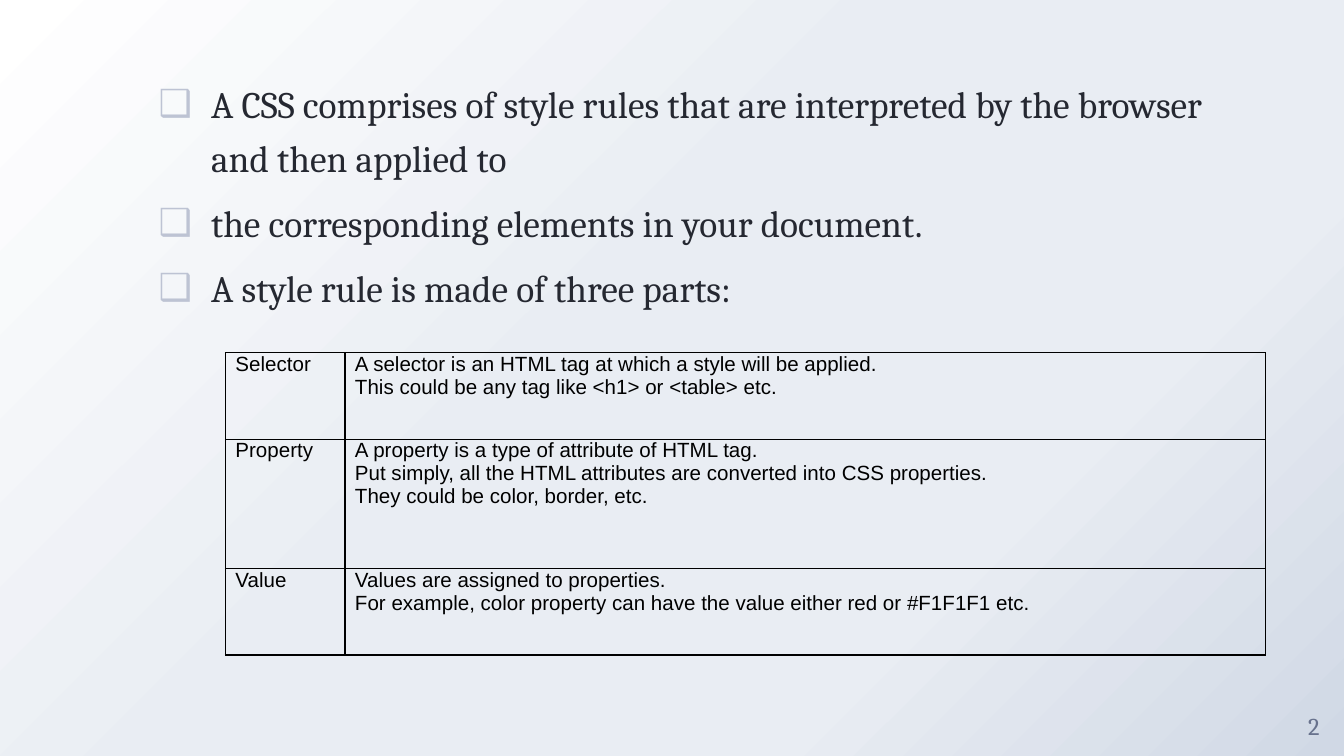
from lxml.etree import SubElement
from pptx import Presentation
from pptx.dml.color import RGBColor
from pptx.enum.text import MSO_ANCHOR, MSO_AUTO_SIZE, PP_ALIGN
from pptx.oxml.ns import qn
from pptx.util import Cm, Pt

COLORS = {
    "white": "FFFFFF", "pale": "E9EDF3", "mist": "D0D8E5", "ink": "252831",
    "mark": "BDC3D3", "slate": "68728D", "black": "000000",
}
POINTS = [
    "A CSS comprises of style rules that are interpreted by the browser and then applied to",
    "the corresponding elements in your document.",
    "A style rule is made of three parts:",
]
PARTS = [
    ("Selector", "A selector is an HTML tag at which a style will be applied.\n"
                 "This could be any tag like <h1> or <table> etc."),
    ("Property", "A property is a type of attribute of HTML tag.\n"
                 "Put simply, all the HTML attributes are converted into CSS properties.\n"
                 "They could be color, border, etc."),
    ("Value", "Values are assigned to properties.\n"
              "For example, color property can have the value either red or #F1F1F1 etc."),
]


class Deck:
    def __init__(self, width, height):
        self.show = Presentation()
        self.show.slide_width, self.show.slide_height = Cm(width), Cm(height)
        self.slide = self.show.slides.add_slide(self.show.slide_layouts[1])
        title = self.slide.shapes.title.element
        title.getparent().remove(title)

    def paint(self, node, color):
        SubElement(node, qn("a:srgbClr"), val=COLORS[color])

    def backdrop(self, stops):
        fill = self.slide.background.fill
        fill.gradient()
        fill.gradient_angle = 315
        steps = self.slide.element.find(".//" + qn("a:gsLst"))
        for step in list(steps):
            steps.remove(step)
        for place, color in stops:
            self.paint(SubElement(steps, qn("a:gs"), pos=str(place * 1000)), color)

    def style(self, frame, font, size, color):
        for para in frame.paragraphs:
            for run in para.runs:
                run.font.name, run.font.size = font, Pt(size)
                run.font.color.rgb = RGBColor.from_string(COLORS[color])

    def inset(self, item, side=0):
        item.margin_left = item.margin_right = Cm(side)
        item.margin_top = item.margin_bottom = 0

    def bullets(self, box, lines):
        body = self.slide.placeholders[1]
        body.left, body.top, body.width, body.height = map(Cm, box)
        frame = body.text_frame
        frame.text = "\n".join(lines)
        frame.auto_size = MSO_AUTO_SIZE.NONE
        self.inset(frame)
        self.style(frame, "Cambria", 20, "ink")
        for para in frame.paragraphs:
            para.line_spacing, para.space_before = 1.2, Pt(6)
            props = para._p.get_or_add_pPr()
            props.set("marL", str(Cm(1.27)))
            props.set("indent", str(Cm(-0.99)))
            self.paint(SubElement(props, qn("a:buClr")), "mark")
            SubElement(props, qn("a:buChar"), char="❑")

    def number(self, box, text):
        frame = self.slide.shapes.add_textbox(*map(Cm, box)).text_frame
        frame.text, frame.word_wrap = text, True
        frame.vertical_anchor = MSO_ANCHOR.MIDDLE
        frame.paragraphs[0].alignment = PP_ALIGN.CENTER
        self.inset(frame)
        self.style(frame, "Cambria", 13, "slate")

    def border(self, cell):
        props = cell._tc.get_or_add_tcPr()
        for place, side in enumerate(("lnL", "lnR", "lnT", "lnB")):
            line = SubElement(props, qn("a:" + side), w=str(Pt(0.75)))
            self.paint(SubElement(line, qn("a:solidFill")), "black")
            props.insert(place, line)

    def table(self, left, top, widths, heights, rows):
        box = map(Cm, (left, top, sum(widths), sum(heights)))
        grid = self.slide.shapes.add_table(len(rows), len(widths), *box).table
        grid.first_row = grid.horz_banding = False
        for col, width in zip(grid.columns, widths):
            col.width = Cm(width)
        for row, height, texts in zip(grid.rows, heights, rows):
            row.height = Cm(height)
            for cell, text in zip(row.cells, texts):
                cell.text_frame.text = text
                cell.fill.background()
                self.inset(cell, 0.19)
                self.style(cell.text_frame, "Arial", 11, "black")
                self.border(cell)


def main():
    deck = Deck(25.4, 14.29)
    deck.backdrop([(0, "white"), (44, "pale"), (72, "pale"), (100, "mist")])
    deck.bullets((2.72, 1.37, 21.2, 11.55), POINTS)
    deck.number((24.26, 13.15, 1.14, 1.14), "2")
    deck.table(4.26, 6.67, (2.26, 17.4), (1.63, 2.45, 1.63), PARTS)
    deck.show.save("out.pptx")


if __name__ == "__main__":
    main()
